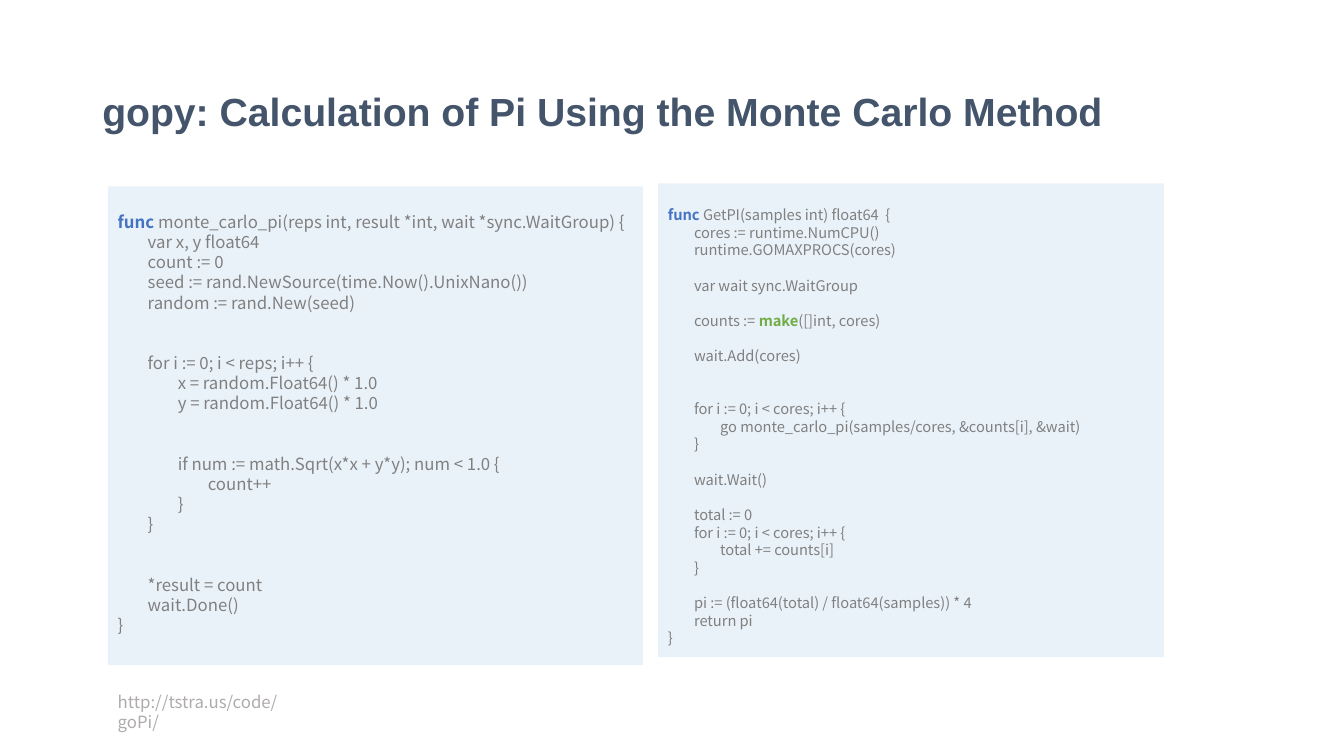
from lxml import etree
from pptx import Presentation
from pptx import util as u
from pptx.dml.color import RGBColor
from pptx.enum import shapes, text
from pptx.oxml import ns

NAVY = RGBColor(0x44, 0x54, 0x6A)
BLUE = RGBColor(0x44, 0x72, 0xC4)
GREEN = RGBColor(0x70, 0xAD, 0x47)
GREY = RGBColor(0x80, 0x80, 0x80)
SILVER = RGBColor(0xAF, 0xAB, 0xAB)
PALE = RGBColor(0xBD, 0xD7, 0xEE)

KEYWORDS = {"func": BLUE, "make": GREEN}

WORKER_CODE = """func monte_carlo_pi(reps int, result *int, wait *sync.WaitGroup) {
        var x, y float64
        count := 0
        seed := rand.NewSource(time.Now().UnixNano())
        random := rand.New(seed)


        for i := 0; i < reps; i++ {
                x = random.Float64() * 1.0
                y = random.Float64() * 1.0


                if num := math.Sqrt(x*x + y*y); num < 1.0 {
                        count++
                }
        }


        *result = count
        wait.Done()
}"""

MAIN_CODE = """func GetPI(samples int) float64  {
        cores := runtime.NumCPU()
        runtime.GOMAXPROCS(cores)

        var wait sync.WaitGroup

        counts := make([]int, cores)

        wait.Add(cores)


        for i := 0; i < cores; i++ {
                go monte_carlo_pi(samples/cores, &counts[i], &wait)
        }

        wait.Wait()

        total := 0
        for i := 0; i < cores; i++ {
                total += counts[i]
        }

        pi := (float64(total) / float64(samples)) * 4
        return pi
}"""


class SlideWriter:
    heading_font = "Arial"
    code_font = "Noto Sans CJK KR"
    line_height = 1.2
    inset = 3.6

    def __init__(self, deck):
        self.page = deck.slides.add_slide(deck.slide_layouts[6])

    def apply(self, target, **values):
        for name, value in values.items():
            setattr(target, name, value)

    def span(self, para, words, color, **values):
        span = para.add_run()
        span.text = words
        self.apply(span.font, **values)
        span.font.color.rgb = color

    def label(self, place, words, color, anchor, spacing, **values):
        box = self.page.shapes.add_textbox(*map(u.Pt, place))
        self.apply(box.text_frame, word_wrap=True, vertical_anchor=anchor)
        para = box.text_frame.paragraphs[0]
        para.line_spacing = spacing
        self.span(para, words, color, **values)

    def panel(self, place):
        box = self.page.shapes.add_shape(
            shapes.MSO_SHAPE.RECTANGLE, *map(u.Pt, place))
        box.shadow.inherit = False
        box.fill.solid()
        box.fill.fore_color.rgb = PALE
        box.line.fill.background()
        tint = box.fill._xPr.find(".//" + ns.qn("a:srgbClr"))
        etree.SubElement(tint, ns.qn("a:alpha"), val="31000")
        return box

    def code(self, place, source, size):
        pitch = size * self.line_height
        frame = self.panel(place).text_frame
        self.apply(frame, word_wrap=True,
                   vertical_anchor=text.MSO_ANCHOR.TOP,
                   margin_top=u.Pt(self.inset + pitch))
        para, blanks = frame.paragraphs[0], 0
        for number, line in enumerate(source.splitlines()):
            if not line:
                blanks += 1
                continue
            if number:
                para = frame.add_paragraph()
            para.alignment = text.PP_ALIGN.LEFT
            if blanks:
                para.space_before = u.Pt(blanks * pitch)
            blanks = 0
            self.code_line(para, line, size)

    def code_line(self, para, line, size):
        style = {"name": self.code_font, "size": u.Pt(size)}
        word = next((key for key in KEYWORDS if key in line), None)
        before, match, after = line.partition(word) if word else (line, "", "")
        for words, color, bold in ((before, GREY, False),
                                   (match, KEYWORDS.get(word), True),
                                   (after, GREY, False)):
            if words:
                self.span(para, words, color, bold=bold, **style)


def main():
    deck = Presentation()
    deck.slide_width, deck.slide_height = u.Pt(960), u.Pt(540)
    writer = SlideWriter(deck)
    writer.label((66, 28.8, 828, 104.4),
                 "gopy: Calculation of Pi Using the Monte Carlo Method",
                 NAVY, text.MSO_ANCHOR.MIDDLE, 0.9,
                 name=writer.heading_font, size=u.Pt(28), bold=True)
    writer.code((77, 133.2, 382.3, 342), WORKER_CODE, 12)
    writer.label((77, 490.3, 154.8, 21.6), "http://tstra.us/code/goPi/",
                 SILVER, text.MSO_ANCHOR.TOP, 1.0,
                 name=writer.code_font, size=u.Pt(12))
    writer.code((470, 131, 361.4, 338.4), MAIN_CODE, 10.5)
    deck.save("out.pptx")


if __name__ == "__main__":
    main()
